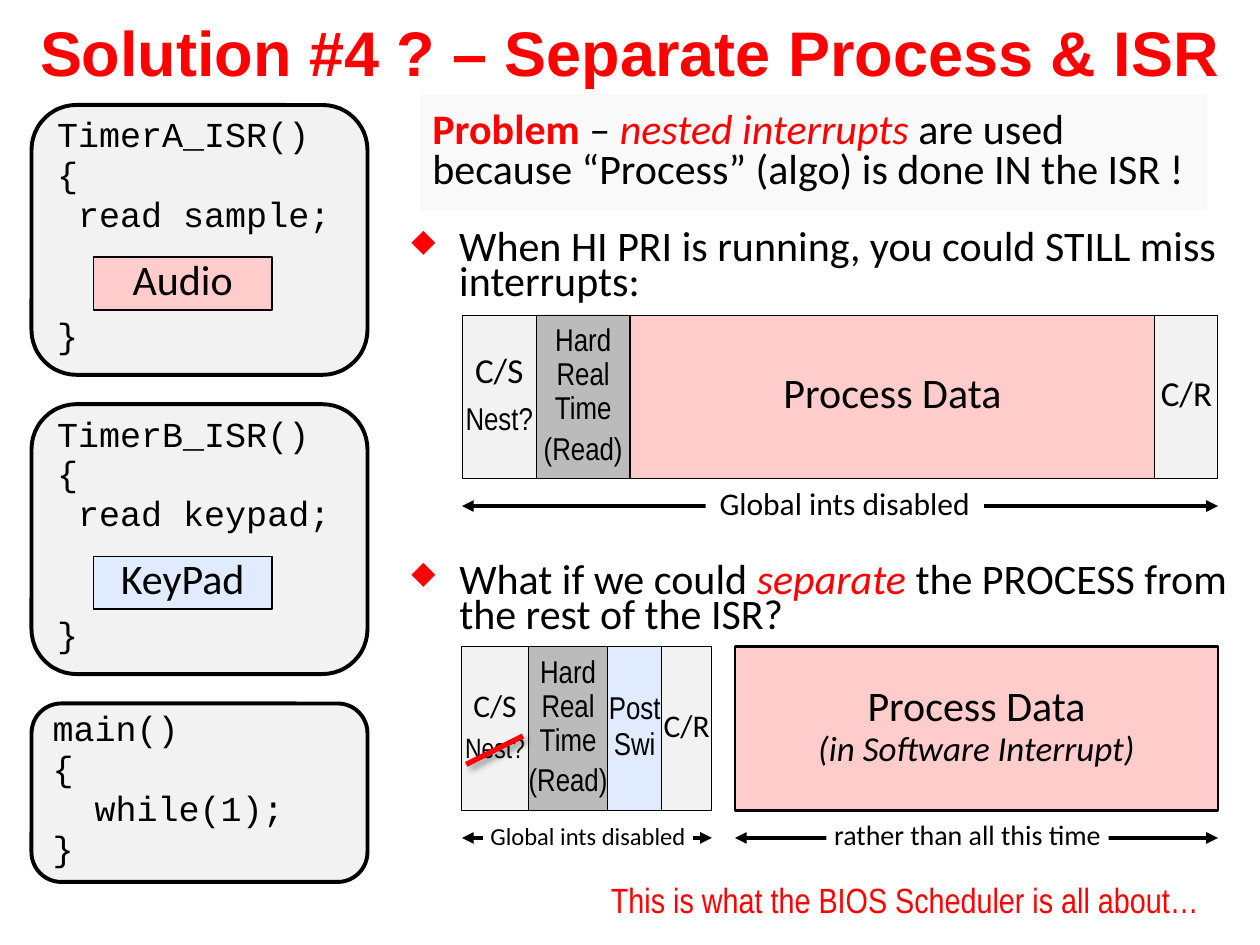
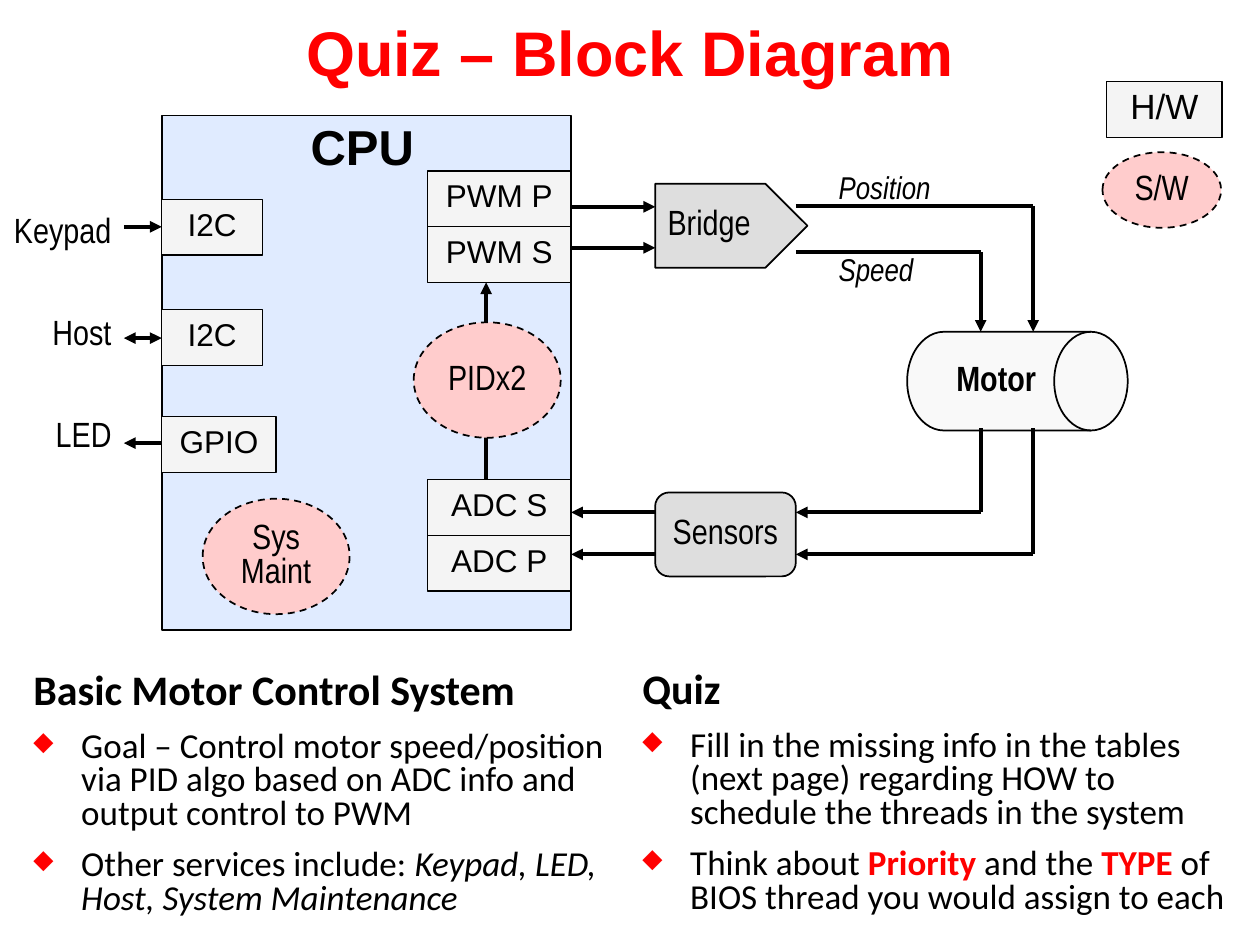
import pptx
import pptx.util
import pptx.dml.color
import pptx.enum.dml
import pptx.enum.shapes
import pptx.enum.text
import pptx.oxml
import pptx.oxml.ns
from lxml import etree
from dataclasses import dataclass

SHAPE = pptx.enum.shapes.MSO_SHAPE
ANCHOR = pptx.enum.text.MSO_ANCHOR
LEFT, CENTER, RIGHT = (pptx.enum.text.PP_ALIGN.LEFT, pptx.enum.text.PP_ALIGN.CENTER,
                       pptx.enum.text.PP_ALIGN.RIGHT)


class Theme:
    black, red, white = "000000", "FF0000", "FFFFFF"
    pale, light, port = "F9F9F9", "F2F2F2", "F4F4F4"
    silver, grey, pink, blue = "DEDEDE", "BBBBBB", "FFCCCC", "E0EBFF"
    # Type styles: font, size
    title = ("Arial", 36)
    chip = ("Arial", 28)
    legend = ("Arial", 20)
    port_text = ("Arial", 18)
    code = ("Courier New", 20)
    large, medium, small = ("Calibri", 24), ("Calibri", 20), ("Calibri", 18)
    note, tiny = ("Calibri", 16), ("Calibri", 14)
    narrow, narrow_small, narrow_tiny = ("Arial Narrow", 20), ("Arial Narrow", 18), ("Arial Narrow", 16)
    # Line widths
    hair, thin, edge, bold_edge, wire, strike = 0.5, 0.75, 1, 1.5, 2.25, 3


@dataclass
class Para:
    runs: object            # plain text, or (text, flags) pairs: b bold, i italic, r red
    style: tuple
    before: float = 0
    bullet: bool = False


T = Theme
COLS, ROWS = 120, 90        # grid over a 10 x 7.5 inch slide
CELL = pptx.util.Inches(10) / COLS

# ---- Content: solution slide (left, top, width, height in grid cells) ----
SOLUTION_TITLE = "Solution #4 ? – Separate Process & ISR"
PROBLEM = [("Problem", "br"), (" – ", ""), ("nested interrupts ", "ir"),
           ("are used because “Process” (algo) is done IN the ISR !", "")]
POINTS = [
    ((38, 21.5, 80.6, 8.2), "When HI PRI is running, you could STILL miss interrupts:"),
    ((38, 53.3, 83.6, 8), [("What if we could ", ""), ("separate", "ir"),
                           (" the PROCESS from\nthe rest of the ISR?", "")]),
]
ISRS = [("TimerA_ISR()", " read sample;", "Audio", T.pink),
        ("TimerB_ISR()", " read keypad;", "KeyPad", T.blue)]
ISR_TOP, ISR_STEP = 10, 28.5
MAIN_CODE = ["main()", "{", "  while(1);", "}"]
HARD_REAL_TIME = [Para("Hard", T.narrow_small), Para("Real", T.narrow_small, 2),
                  Para("Time", T.narrow_small, 2), Para("(Read)", T.narrow_small, 6)]
BAR_LEFT, BAR_HEIGHT = 44, 15.6
# Each bar: top, then (width, fill, paragraphs) from left to right
BARS = [
    (30, [(7.1, T.light, [Para("C/S", T.medium), Para("Nest?", T.narrow_small, 9)]),
          (8.9, T.grey, HARD_REAL_TIME),
          (50, T.pink, [Para("Process Data", T.large)]),
          (6, T.light, [Para("C/R", T.medium)])]),
    (61.6, [(6.3, T.light, [Para("C/S", T.small), Para("Nest?", T.narrow_tiny, 8)]),
            (7.6, T.grey, HARD_REAL_TIME),
            (5.1, T.blue, [Para("Post", T.narrow_small), Para("Swi", T.narrow_small, 3)]),
            (4.8, T.light, [Para("C/R", T.small)])]),
]
SOFT_INT = [Para("Process Data", T.large), Para([("(in Software Interrupt)", "i")], T.medium, 3)]
# Spans: left, right, row, label left, label width, label height, text, style
SPANS = [(44, 116, 48.2, 67.2, 26.5, 4.2, "Global ints disabled", T.small),
         (44, 67.8, 79.8, 46, 20, 3.5, "Global ints disabled", T.tiny),
         (70, 116, 79.8, 78.7, 26.9, 3.8, "rather than all this time", T.note)]
CLOSING = "This is what the BIOS Scheduler is all about…"

# ---- Content: quiz slide ----
QUIZ_TITLE = "Quiz – Block Diagram"
CPU = (15.4, 11, 39, 49)
CPU_RIGHT = CPU[0] + CPU[2]
PORT_H, PORT_W = 5.3, 13.7
LEFT_PORTS = [("I2C", 19, 9.6), ("I2C", 29.5, 9.6), ("GPIO", 39.7, 10.9)]
RIGHT_PORTS = [("PWM P", 16.3), ("PWM S", 21.6), ("ADC S", 45.7), ("ADC P", 51)]
OUTSIDE = ["Keypad", "Host", "LED"]
OUTSIDE_TOP, OUTSIDE_STEP = 19.8, 9.75
TASKS = [((19.3, 47.5, 14, 11), "Sys\nMaint"), ((39.4, 30.7, 14, 11), "PIDx2"),
         ((105, 14.5, 11.3, 7.2), "S/W")]
SIGNALS = [((78.7, 16.1, 11.3, 4.1), "Position"), ((78.7, 23.9, 9.6, 4.1), "Speed")]
# Wires: points, then the ends that carry an arrowhead
WIRES = [
    ([(11.8, 21.6), (15.4, 21.6)], "tail"),
    ([(11.8, 32.2), (15.4, 32.2)], "head tail"),
    ([(11.8, 42.2), (15.4, 42.2)], "head"),
    ([(CPU_RIGHT, 19.7), (62.4, 19.7)], "tail"),
    ([(CPU_RIGHT, 23.6), (62.4, 23.6)], "tail"),
    ([(75.8, 19.6), (98.4, 19.6), (98.4, 31.6)], "tail"),
    ([(75.8, 24), (93.4, 24), (93.4, 31.6)], "tail"),
    ([(93.4, 40.8), (93.4, 48.8), (75.8, 48.8)], "tail"),
    ([(98.4, 40.8), (98.4, 52.8), (75.8, 52.8)], "tail"),
    ([(62.4, 48.8), (CPU_RIGHT, 48.8)], "tail"),
    ([(62.4, 52.8), (CPU_RIGHT, 52.8)], "tail"),
    ([(46.3, 45.7), (46.3, 26.9)], "tail"),
]
NOTES = [
    ((2, 63.1, 59, 25.3), "Basic Motor Control System",
     ["Goal – Control motor speed/position via PID algo based on ADC info and output control to PWM",
      [("Other services include: ", ""), ("Keypad, LED, Host, System Maintenance", "i")]]),
    ((60, 63, 59, 25.3), "Quiz",
     ["Fill in the missing info in the tables (next page) regarding HOW to schedule "
      "the threads in the system",
      [("Think about ", ""), ("Priority", "br"), (" and the ", ""), ("TYPE", "br"),
       (" of BIOS thread you would assign to each", "")]]),
]


# ---- Helpers ----
def grid(*cells):
    return [round(c * CELL) for c in cells]


def rgb(value):
    return pptx.dml.color.RGBColor.from_string(value)


def add_bullet(p):
    pPr = p._p.get_or_add_pPr()
    pPr.set("marL", str(pptx.util.Inches(0.38)))
    pPr.set("indent", str(-pptx.util.Inches(0.38)))
    color = etree.SubElement(pPr, pptx.oxml.ns.qn("a:buClr"))
    etree.SubElement(color, pptx.oxml.ns.qn("a:srgbClr"), val=T.red)
    etree.SubElement(pPr, pptx.oxml.ns.qn("a:buSzPct"), val="75000")
    etree.SubElement(pPr, pptx.oxml.ns.qn("a:buChar"), char="◆")


def write(tf, paras, align=CENTER, spacing=0.8):
    for n, para in enumerate(paras):
        p = tf.paragraphs[0] if n == 0 else tf.add_paragraph()
        if para.bullet:
            add_bullet(p)
        p.alignment, p.line_spacing = align, spacing
        p.space_before = pptx.util.Pt(para.before)
        runs = [(para.runs, "")] if isinstance(para.runs, str) else para.runs
        for text, flags in runs:
            for k, piece in enumerate(text.split("\n")):
                if k:
                    p.add_line_break()
                r = p.add_run()
                r.text = piece
                r.font.name, r.font.size = para.style[0], pptx.util.Pt(para.style[1])
                r.font.bold, r.font.italic = "b" in flags, "i" in flags
                r.font.color.rgb = rgb(T.red if "r" in flags else T.black)


def put(s, at, paras=(), kind=None, fill=None, line=None, dash=False, align=CENTER,
        spacing=0.8, wrap=False, anchor=ANCHOR.MIDDLE, inset=None):
    """Place a text box, or a preset shape when a kind is given."""
    if kind is None:
        sp = s.shapes.add_textbox(*grid(*at))
    else:
        sp = s.shapes.add_shape(kind, *grid(*at))
        sp.shadow.inherit = False
        sp.fill.solid()
        sp.fill.fore_color.rgb = rgb(fill)
        if line:
            sp.line.color.rgb = rgb(T.black)
            sp.line.width = pptx.util.Pt(line)
            if dash:
                sp.line.dash_style = pptx.enum.dml.MSO_LINE.DASH
        else:
            sp.line.fill.background()
    tf = sp.text_frame
    tf.word_wrap, tf.vertical_anchor = wrap, anchor
    if inset is not None:
        tf.margin_left = tf.margin_right = tf.margin_top = tf.margin_bottom = pptx.util.Inches(inset)
    write(tf, paras, align, spacing)


def wire(s, points, ends="", color=T.black, width=T.wire):
    """Join the points; arrowheads go on the first (head) and last (tail) point."""
    last = len(points) - 2
    for n, (a, b) in enumerate(zip(points, points[1:])):
        line = s.shapes.add_connector(pptx.enum.shapes.MSO_CONNECTOR.STRAIGHT, *grid(*a, *b))
        line.line.color.rgb = rgb(color)
        line.line.width = pptx.util.Pt(width)
        ln = line.line._get_or_add_ln()
        for end, at in (("head", 0), ("tail", last)):
            if end in ends and n == at:
                etree.SubElement(ln, pptx.oxml.ns.qn(f"a:{end}End"), type="triangle")
        effects = etree.SubElement(line._element.spPr, pptx.oxml.ns.qn("a:effectLst"))
    return effects


def add_shadow(effects):
    effects.append(pptx.oxml.parse_xml(
        f'<a:outerShdw {pptx.oxml.ns.nsdecls("a")} blurRad="50800" dist="38100" dir="2700000">'
        f'<a:srgbClr val="{T.black}"><a:alpha val="40000"/></a:srgbClr></a:outerShdw>'))


def new_slide(prs, title):
    s = prs.slides.add_slide(prs.slide_layouts[5])
    sp = s.shapes.title
    sp.left, sp.top, sp.width, sp.height = grid(0, 0, COLS, 9.7)
    sp.text_frame.auto_size = pptx.enum.text.MSO_AUTO_SIZE.NONE
    sp.text_frame.vertical_anchor = ANCHOR.MIDDLE
    write(sp.text_frame, [Para([(title, "br")], T.title)], spacing=1.0)
    return s


# ---- Slides ----
def code_box(s, top, height, lines):
    put(s, (3, top, 32, height), [Para(text, T.code, before) for text, before in lines],
        SHAPE.ROUNDED_RECTANGLE, T.light, T.wire, align=LEFT, spacing=0.7, wrap=True,
        anchor=ANCHOR.TOP)


def solution_slide(prs):
    s = new_slide(prs, SOLUTION_TITLE)
    put(s, (40, 9, 75, 11), [Para(PROBLEM, T.large)], SHAPE.RECTANGLE, T.pale, align=LEFT, wrap=True)
    for at, text in POINTS:
        put(s, at, [Para(text, T.large, bullet=True)], align=LEFT, spacing=0.7, wrap=True)

    # Code column
    for n, (name, body, job, fill) in enumerate(ISRS):
        top = ISR_TOP + n * ISR_STEP
        code_box(s, top, 25.7, [(name, 0), ("{", 6), (body, 6), ("}", 52)])
        put(s, (8.9, top + 14.5, 17, 5), [Para(job, T.large)], SHAPE.RECTANGLE, fill, T.edge)
    code_box(s, 67, 17, [(text, 6 if n else 0) for n, text in enumerate(MAIN_CODE)])

    # Time bars
    for top, parts in BARS:
        left = BAR_LEFT
        for width, fill, paras in parts:
            put(s, (left, top, width, BAR_HEIGHT), paras, SHAPE.RECTANGLE, fill, T.hair)
            left += width
    put(s, (70, BARS[1][0], 46, BAR_HEIGHT), SOFT_INT, SHAPE.RECTANGLE, T.pink, T.bold_edge)

    # Spans under the bars
    for left, right, row, x, width, height, text, style in SPANS:
        wire(s, [(left, row), (right, row)], "head tail")
        put(s, (x, row - height / 2, width, height), [Para(text, style)],
            SHAPE.RECTANGLE, T.white, inset=0.05)
    add_shadow(wire(s, [(44.4, 72.8), (49.8, 70.1)], color=T.red, width=T.strike))
    put(s, (58, 84.1, 56.4, 3.6), [Para([(CLOSING, "r")], T.narrow)], spacing=0.9,
        anchor=ANCHOR.BOTTOM, inset=0)


def quiz_slide(prs):
    s = new_slide(prs, QUIZ_TITLE)
    # Processor, its ports and the outside devices
    put(s, CPU, kind=SHAPE.RECTANGLE, fill=T.blue, line=T.edge)
    put(s, (28.3, 11.5, 12.4, 5.8), [Para([("CPU", "b")], T.chip)])
    ports = [(text, (CPU[0], top, width, PORT_H), T.port_text) for text, top, width in LEFT_PORTS]
    ports += [(text, (CPU_RIGHT - PORT_W, top, PORT_W, PORT_H), T.port_text)
              for text, top in RIGHT_PORTS]
    ports.append(("H/W", (105.4, 7.8, 11, PORT_H), T.legend))
    for text, at, style in ports:
        put(s, at, [Para(text, style)], SHAPE.RECTANGLE, T.port, T.thin)
    for n, text in enumerate(OUTSIDE):
        put(s, (0, OUTSIDE_TOP + n * OUTSIDE_STEP, 11.8, 4.8), [Para(text, T.narrow)],
            align=RIGHT, wrap=True)

    # Motor loop
    put(s, (86.4, 31.6, 21, 9.4), [Para([("Motor", "b")], T.narrow)],
        SHAPE.FLOWCHART_DIRECT_ACCESS_STORAGE, T.pale, T.edge, align=LEFT, wrap=True)
    put(s, (62.4, 17.5, 14.5, 8), [Para("Bridge", T.narrow)], SHAPE.PENTAGON, T.silver, T.edge,
        align=LEFT, wrap=True)
    put(s, (62.4, 46.9, 13.4, 8), [Para("Sensors", T.narrow)], SHAPE.ROUNDED_RECTANGLE,
        T.silver, T.edge)
    for at, text in SIGNALS:
        put(s, at, [Para([(text, "i")], T.narrow_small)], align=LEFT, wrap=True)
    for points, ends in WIRES:
        wire(s, points, ends)
    for at, text in TASKS:
        put(s, at, [Para(text, T.narrow)], SHAPE.OVAL, T.pink, T.edge, dash=True)

    # Notes
    for at, heading, items in NOTES:
        paras = [Para([(heading, "b")], T.large)]
        paras += [Para(item, T.medium, 10, True) for item in items]
        put(s, at, paras, align=LEFT, wrap=True)


def main():
    prs = pptx.Presentation()
    prs.slide_width, prs.slide_height = grid(COLS, ROWS)
    solution_slide(prs)
    quiz_slide(prs)
    prs.save("out.pptx")


if __name__ == "__main__":
    main()
